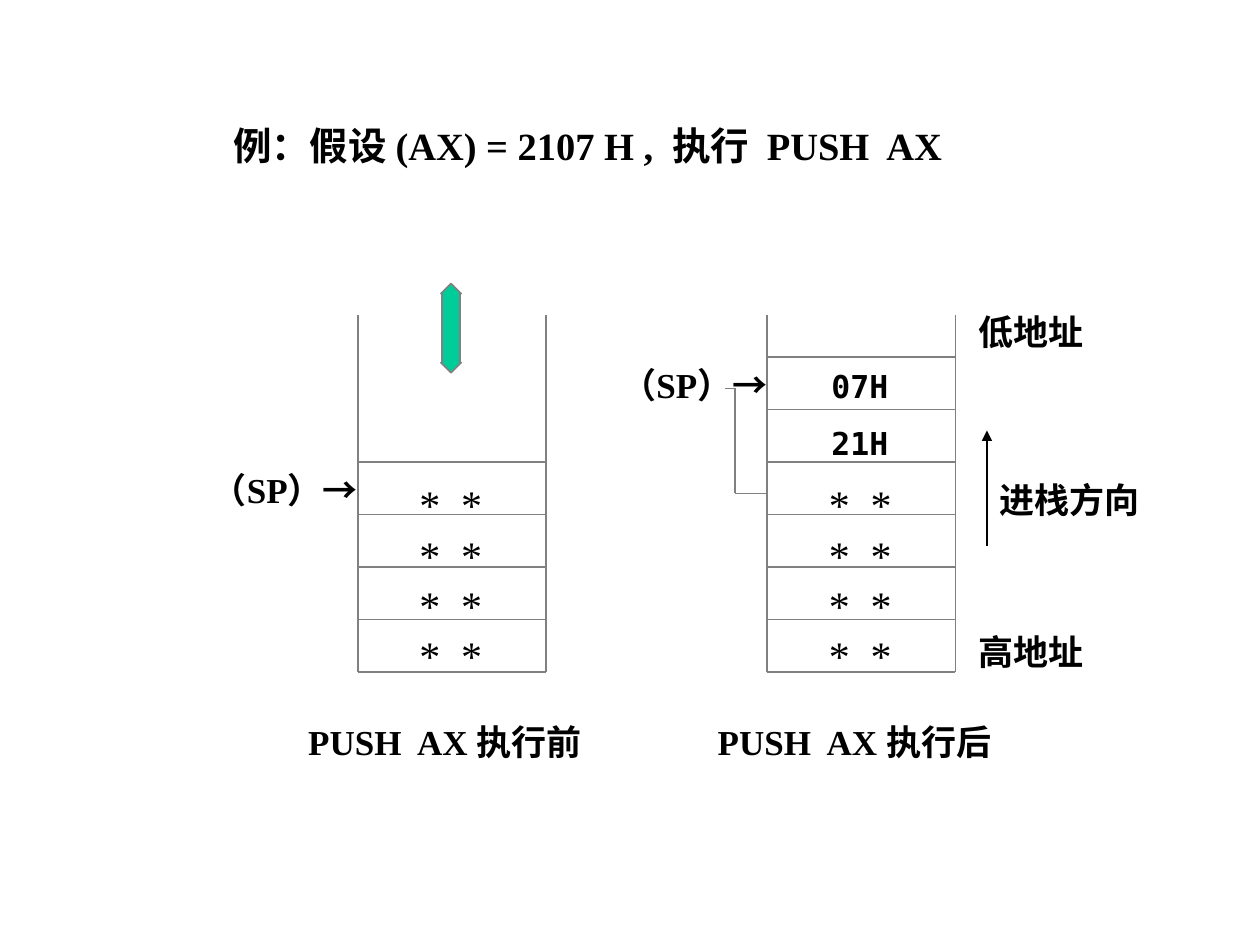
from itertools import pairwise

from lxml.etree import SubElement
from pptx import Presentation
from pptx.dml.color import RGBColor
from pptx.enum.shapes import MSO_CONNECTOR, MSO_SHAPE
from pptx.enum.text import MSO_ANCHOR, MSO_AUTO_SIZE, PP_ALIGN
from pptx.oxml.ns import qn
from pptx.util import Pt

BLACK = RGBColor(0, 0, 0)
GRAY = RGBColor(0x80, 0x80, 0x80)
GREEN = RGBColor(0, 0xCC, 0x99)
SERIF, SANS, MONO = "Times New Roman", "Arial", "DejaVu Sans Mono"
ROW = 30


def add_run(para, text, size, font=SERIF, bold=True):
    run = para.add_run()
    run.text = text
    run.font.size = Pt(size)
    run.font.name = font
    run.font.bold = bold
    run.font.color.rgb = BLACK


def add_text(slide, box, lines, size, font=SERIF, bold=True, gap=0, wrap=True):
    """Place one paragraph per line, gap points apart, and return the frame."""
    frame = slide.shapes.add_textbox(*map(Pt, box)).text_frame
    frame.word_wrap = wrap
    for i, line in enumerate(lines):
        para = frame.add_paragraph() if i else frame.paragraphs[0]
        if i:
            para.space_before = Pt(gap)
        add_run(para, line, size, font, bold)
    return frame


def add_line(slide, start, end, color=GRAY, width=1, arrow=False):
    line = slide.shapes.add_connector(
        MSO_CONNECTOR.STRAIGHT, *map(Pt, (*start, *end)))
    line.line.color.rgb = color
    line.line.width = Pt(width)
    if arrow:
        SubElement(line.line._get_or_add_ln(), qn("a:tailEnd"), type="triangle")
    SubElement(line._element.spPr, qn("a:effectLst"))


def add_title(slide, box):
    title = slide.shapes.title
    title.left, title.top, title.width, title.height = map(Pt, box)
    frame = title.text_frame
    frame.auto_size = MSO_AUTO_SIZE.NONE
    frame.vertical_anchor = MSO_ANCHOR.TOP
    para = frame.paragraphs[0]
    para.alignment = PP_ALIGN.JUSTIFY
    add_run(para, "例：假设 (AX) = 2107 H ,  执行  PUSH  AX", 22)


def add_stack(slide, box, rows, label):
    """Draw an open-topped stack with its lowest rows ruled and a label below."""
    left, top, width, height = box
    right, base = left + width, top + height
    for x in (left, right):
        add_line(slide, (x, top), (x, base))
    for i in range(rows + 1):
        y = base - i * ROW
        add_line(slide, (left, y), (right, y))
    add_text(slide, (left + 28, base - 114, 51, 122), ["*  *"] * 4, 24,
             bold=False)
    add_text(slide, (left - 35.5, base + 24, 176, 32), [label], 20, wrap=False)


def add_pointer(slide, box):
    frame = add_text(slide, box, ["（SP）"], 20)
    add_run(frame.paragraphs[0], "→", 20, SANS)


def add_before(slide, box):
    left, top, width, height = box
    add_stack(slide, box, 4, "PUSH  AX 执行前")
    add_pointer(slide, (left - 90.5, top + 84, 102, 55))
    arrow = slide.shapes.add_shape(
        MSO_SHAPE.UP_DOWN_ARROW,
        *map(Pt, (left + 47.5, top - 18, 11.5, 51)))
    arrow.adjustments[0] = 0.5
    arrow.adjustments[1] = 0.89
    arrow.shadow.inherit = False
    arrow.fill.solid()
    arrow.fill.fore_color.rgb = GREEN
    arrow.line.color.rgb = GRAY
    arrow.line.width = Pt(1)


def add_after(slide, box):
    left, top, width, height = box
    add_stack(slide, box, 6, "PUSH  AX 执行后")
    add_text(slide, (left + 29.5, top + 26, 66, 62), ["07H", "21H"], 18, MONO,
             gap=11.2)
    add_pointer(slide, (left - 90.5, top + 24, 102, 55))
    bend = left - 18.5
    track = [(bend - 6, top + 42), (bend, top + 42),
             (bend, top + 102), (left, top + 102)]
    for start, end in pairwise(track):
        add_line(slide, start, end)


def add_guide(slide, box):
    """Name the low and high addresses and show which way the stack grows."""
    left, top, width, height = box
    add_text(slide, (left, top, width, 32), ["低地址"], 20)
    add_text(slide, (left, top + height - 32, width, 32), ["高地址"], 20)
    add_text(slide, (left + 12, top + 96, 102, 32), ["进栈方向"], 20)
    add_line(slide, (left + 12, top + 138), (left + 12, top + 72), BLACK, 1.5,
             arrow=True)


def main():
    deck = Presentation()
    deck.slide_width, deck.slide_height = Pt(720), Pt(540)
    slide = deck.slides.add_slide(deck.slide_layouts[5])
    add_title(slide, (126, 66, 426, 60))
    add_before(slide, (204.5, 180, 107.5, 204))
    add_after(slide, (438.5, 180, 107.5, 204))
    add_guide(slide, (552, 174, 90, 215))
    deck.save("out.pptx")


if __name__ == "__main__":
    main()
